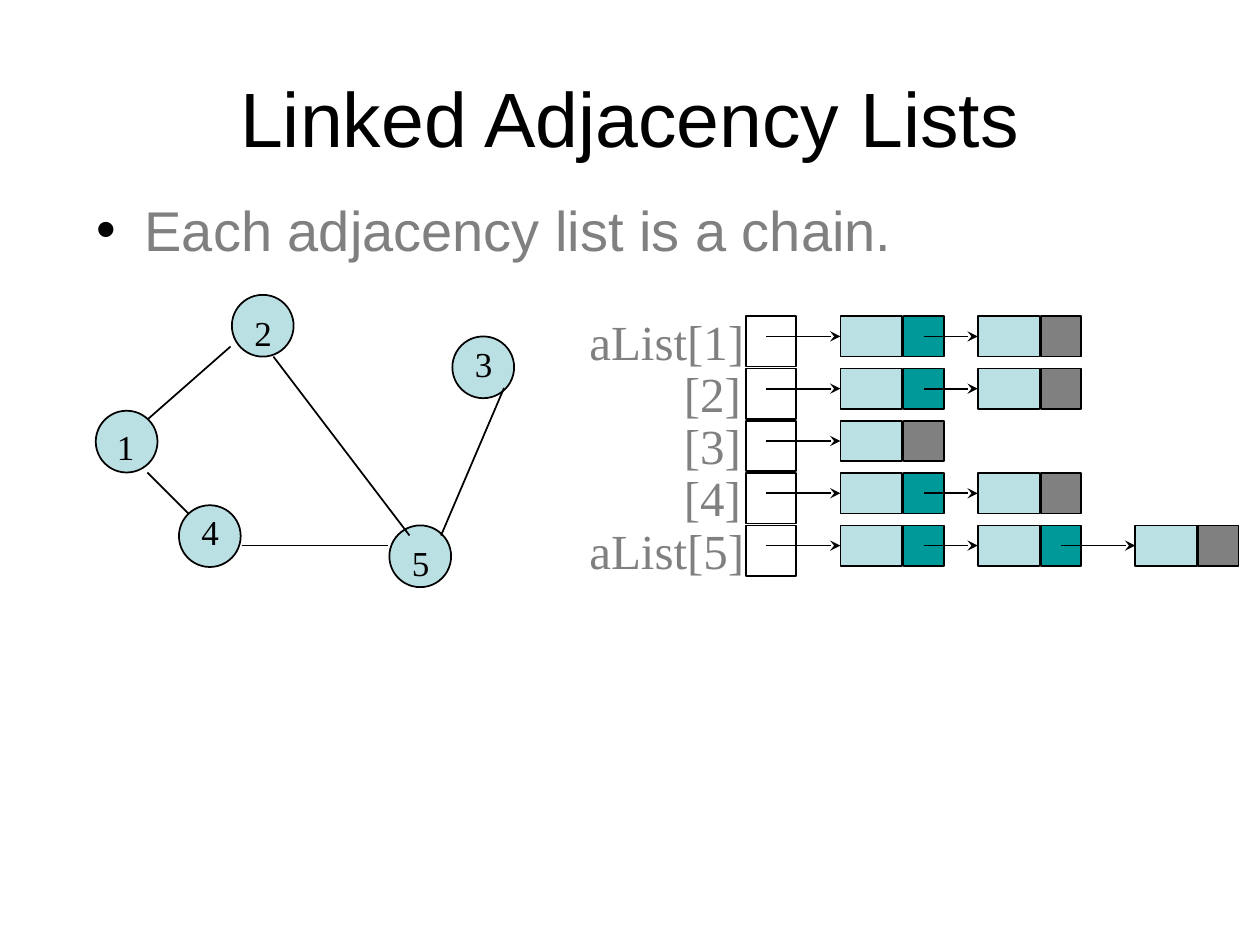
from dataclasses import dataclass

from pptx import Presentation
from pptx.dml.color import RGBColor as Rgb
from pptx.enum.shapes import MSO_CONNECTOR as Conn, MSO_SHAPE as Kind
from pptx.enum.text import MSO_ANCHOR as Anchor, MSO_AUTO_SIZE as Fit, PP_ALIGN as Align
from pptx.oxml.ns import qn
from pptx.util import Inches, Pt
from lxml.etree import SubElement as Sub


@dataclass(frozen=True)
class Theme:
    """Colours, fonts and type sizes."""
    ink: str = "000000"
    gray: str = "808080"
    pale: str = "BBE0E3"
    teal: str = "009999"
    white: str = "FFFFFF"
    sans: str = "Arial"
    serif: str = "Times New Roman"
    head: int = 44
    body: int = 32
    label: int = 28
    node: int = 20
    rule: float = 1


def write(frame, text, font, size, color, align=Align.LEFT, anchor=Anchor.TOP, bullet=None):
    """Put one formatted paragraph in a text frame."""
    frame.word_wrap = True
    frame.vertical_anchor = anchor
    para = frame.paragraphs[0]
    para.text = text
    para.alignment = align
    if bullet:
        props = para._p.get_or_add_pPr()
        props.set("marL", str(Inches(0.38)))
        props.set("indent", str(-Inches(0.38)))
        tint = Sub(Sub(props, qn("a:buClr")), qn("a:srgbClr"))
        tint.set("val", bullet)
        Sub(props, qn("a:buFont")).set("typeface", font)
        Sub(props, qn("a:buChar")).set("char", "•")
    face = para.runs[0].font
    face.name, face.size = font, Pt(size)
    face.color.rgb = Rgb.from_string(color)


class Board:
    """Draw styled elements on the current slide."""

    def __init__(self, slide, theme):
        self.slide, self.theme = slide, theme

    def title(self, text, *box):
        """Place and format the title."""
        t, shape = self.theme, self.slide.shapes.title
        shape.left, shape.top, shape.width, shape.height = map(Inches, box)
        shape.text_frame.auto_size = Fit.NONE
        write(shape.text_frame, text, t.sans, t.head, t.ink, Align.CENTER, Anchor.MIDDLE)

    def point(self, text, *box):
        """Add a bulleted line."""
        t = self.theme
        shape = self.slide.shapes.add_textbox(*map(Inches, box))
        write(shape.text_frame, text, t.sans, t.body, t.gray, bullet=t.ink)

    def label(self, text, size, color, *box):
        """Add a serif label."""
        frame = self.slide.shapes.add_textbox(*map(Inches, box)).text_frame
        write(frame, text, self.theme.serif, size, color)
        frame.auto_size = Fit.SHAPE_TO_FIT_TEXT

    def cell(self, kind, fill, *box):
        """Add a filled, outlined shape."""
        shape = self.slide.shapes.add_shape(kind, *map(Inches, box))
        shape.shadow.inherit = False
        shape.fill.solid()
        shape.fill.fore_color.rgb = Rgb.from_string(fill)
        self.ink(shape.line)

    def ink(self, line):
        """Style an outline or rule."""
        line.color.rgb = Rgb.from_string(self.theme.ink)
        line.width = Pt(self.theme.rule)

    def line(self, *ends, arrow=False):
        """Add a straight line, with an arrowhead on request."""
        link = self.slide.shapes.add_connector(Conn.STRAIGHT, *map(Inches, ends))
        self.ink(link.line)
        if arrow:
            Sub(link.line._get_or_add_ln(), qn("a:tailEnd")).set("type", "stealth")
        Sub(link._element.spPr, qn("a:effectLst"))

    def graph(self, nodes, edges):
        """Draw the graph."""
        t = self.theme
        for _, x, y, _, _ in nodes:
            self.cell(Kind.OVAL, t.pale, x, y, 0.49, 0.49)
        for edge in edges:
            self.line(*edge)
        for name, _, _, x, y in nodes:
            self.label(name, t.node, t.ink, x, y, 0.25, 0.43)

    def chain(self, y, name, size):
        """Draw one array slot and its linked nodes."""
        t = self.theme
        self.cell(Kind.RECTANGLE, t.white, 5.92, y, 0.4, 0.4)
        x, wide = (4.58, 1.5) if name.startswith("a") else (5.33, 0.67)
        self.label(name, t.label, t.gray, x, y - 0.09, wide, 0.57)
        start = 6.08
        for i, x in enumerate((6.67, 7.76, 9.01)[:size], 1):
            self.cell(Kind.RECTANGLE, t.pale, x, y, 0.49, 0.32)
            self.cell(Kind.RECTANGLE, t.gray if i == size else t.teal, x + 0.5, y, 0.32, 0.32)
            self.line(start, y + 0.16, x, y + 0.16, arrow=True)
            start = x + 0.66


NODES = [
    ("1", 0.76, 3.26, 0.83, 3.33),
    ("2", 1.84, 2.34, 1.92, 2.42),
    ("3", 3.59, 2.67, 3.67, 2.67),
    ("4", 1.42, 4.01, 1.5, 4),
    ("5", 3.09, 4.17, 3.17, 4.25),
]
EDGES = [
    (1.83, 2.75, 1.17, 3.33),
    (2.17, 2.83, 3.25, 4.25),
    (1.17, 3.75, 1.5, 4.08),
    (4, 3.08, 3.5, 4.25),
    (1.92, 4.33, 3.08, 4.33),
]
LISTS = [("aList[1]", 2), ("[2]", 2), ("[3]", 1), ("[4]", 2), ("aList[5]", 3)]


def main():
    """Build and save the slide."""
    deck = Presentation()
    deck.slide_width, deck.slide_height = Inches(10), Inches(7.5)
    board = Board(deck.slides.add_slide(deck.slide_layouts[5]), Theme())
    board.title("Linked Adjacency Lists", 0.5, 0.3, 9, 1.25)
    board.point("Each adjacency list is a chain.", 0.67, 1.5, 8.5, 0.58)
    board.graph(NODES, EDGES)
    for row, (name, size) in enumerate(LISTS):
        board.chain(2.51 + row * (4.17 - 2.51) / 4, name, size)
    deck.save("out.pptx")


if __name__ == "__main__":
    main()
